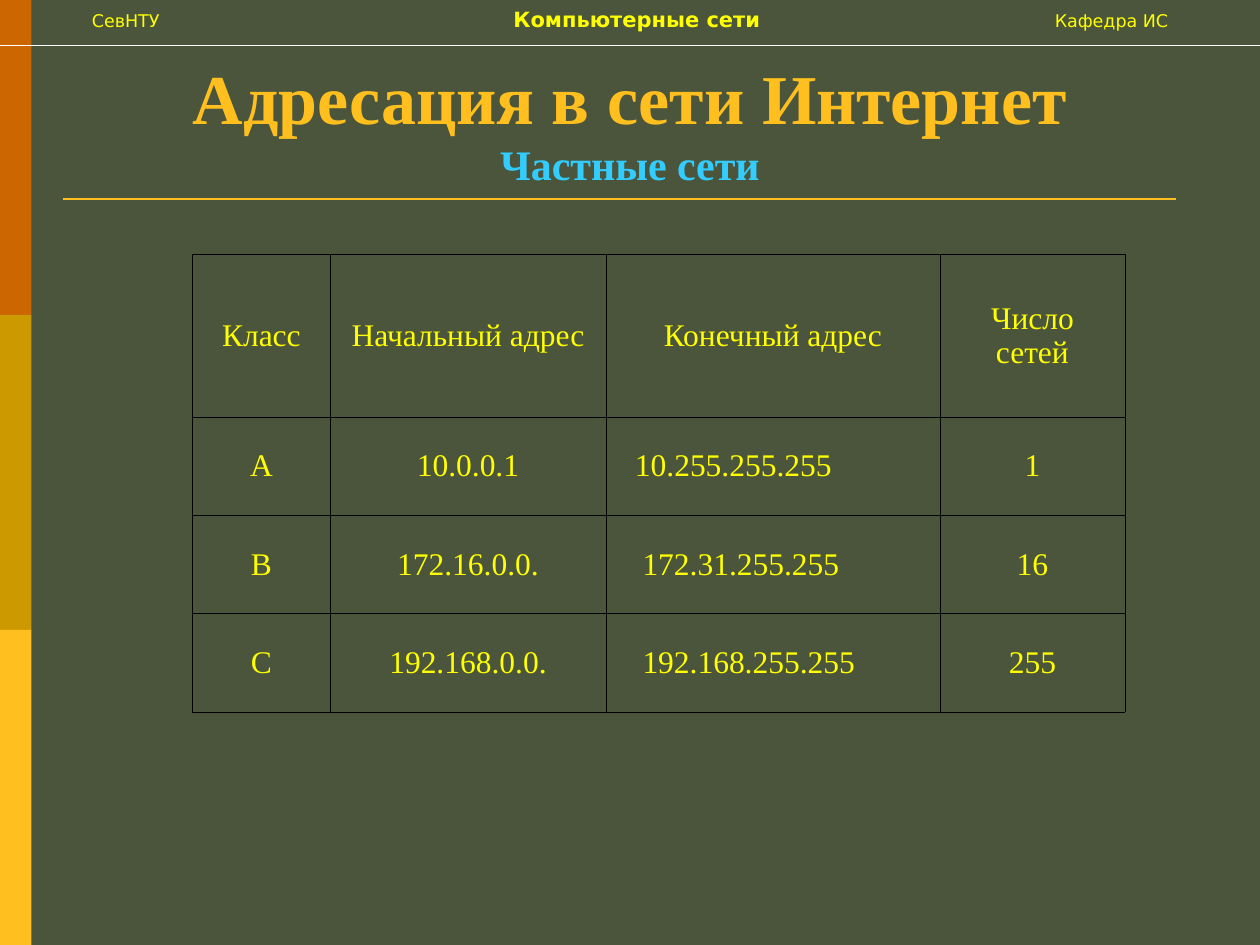
from dataclasses import dataclass

from lxml import etree
from pptx import Presentation
from pptx.dml.color import RGBColor
from pptx.enum import shapes, text
from pptx.oxml import ns
from pptx.util import Inches, Pt


@dataclass(frozen=True)
class Theme:
    """Colours, fonts and type sizes of the slide."""
    background: str = "4A553B"
    stripes: tuple = ("CC6600", "CC9900", "FFBF1F")
    gold: str = "FFBF1F"
    sky: str = "33CCFF"
    yellow: str = "FFFF00"
    white: str = "FFFFFF"
    grid: str = "000000"
    serif: str = "Times New Roman"
    sans: str = "DejaVu Sans"
    title: int = 40
    subtitle: int = 24
    body: int = 18
    course: int = 12
    header: int = 10


THEME = Theme()
HEADINGS = ("Класс", "Начальный адрес", "Конечный адрес", "Число сетей")
NETWORKS = (
    ("A", "10.0.0.1", "10.255.255.255", "1"),
    ("B", "172.16.0.0.", "172.31.255.255", "16"),
    ("C", "192.168.0.0.", "192.168.255.255", "255"),
)
COLUMN_WIDTHS = (1.09, 2.19, 2.65, 1.47)
ROW_HEIGHTS = (1.29, 0.78, 0.78, 0.78)
END_COLUMN = 2
END_INDENTS = (0.23, 0.29, 0.29)


def write(paragraph, words, *, size, color, font, bold=False):
    """Add a formatted run to a paragraph."""
    run = paragraph.add_run()
    run.text = words
    run.font.size = Pt(size)
    run.font.name = font
    run.font.bold = bold
    run.font.color.rgb = RGBColor.from_string(color)


def add_text_frame(slide, left, top, width, height):
    """Add a wrapping text box and return its frame."""
    frame = slide.shapes.add_textbox(
        Inches(left), Inches(top), Inches(width), Inches(height)).text_frame
    frame.word_wrap = True
    return frame


def add_rule(slide, left, right, y, color, weight):
    """Draw a horizontal rule without a shadow."""
    rule = slide.shapes.add_connector(
        shapes.MSO_CONNECTOR.STRAIGHT, Inches(left), Inches(y), Inches(right), Inches(y))
    rule.line.color.rgb = RGBColor.from_string(color)
    rule.line.width = Pt(weight)
    etree.SubElement(rule.element.spPr, ns.qn("a:effectLst"))


def add_side_stripe(slide, left, top, width, height):
    """Stack equal colour bands in the given box."""
    band_height = height / len(THEME.stripes)
    for index, color in enumerate(THEME.stripes):
        band = slide.shapes.add_shape(
            shapes.MSO_SHAPE.RECTANGLE, Inches(left), Inches(top + index * band_height),
            Inches(width), Inches(band_height))
        band.shadow.inherit = False
        band.fill.solid()
        band.fill.fore_color.rgb = RGBColor.from_string(color)
        band.line.fill.background()


def add_header(slide, left, top, width, height):
    """Set university, course and department on one tabbed line."""
    indent = 0.46
    frame = add_text_frame(slide, left, top, width, height)
    frame.margin_left = Inches(indent)
    line = frame.paragraphs[0]
    tabs = etree.SubElement(line._p.get_or_add_pPr(), ns.qn("a:tabLst"))
    for position, alignment in ((width / 2 + 0.06 - indent, "ctr"), (width - 2 * indent + 0.01, "r")):
        etree.SubElement(tabs, ns.qn("a:tab"), pos=str(Inches(position)), algn=alignment)
    small = dict(size=THEME.header, color=THEME.yellow, font=THEME.sans)
    write(line, "СевНТУ\t", **small)
    write(line, "Компьютерные сети", **{**small, "size": THEME.course}, bold=True)
    write(line, "\tКафедра ИС", **small)


def add_title(slide, left, top, width, height):
    """Set the title and subtitle at the bottom of the box."""
    frame = add_text_frame(slide, left, top, width, height)
    frame.vertical_anchor = text.MSO_ANCHOR.BOTTOM
    title = frame.paragraphs[0]
    title.alignment = text.PP_ALIGN.CENTER
    write(title, "Адресация в сети Интернет", size=THEME.title,
          color=THEME.gold, font=THEME.serif, bold=True)
    title.add_line_break()
    write(title, "Частные сети", size=THEME.subtitle,
          color=THEME.sky, font=THEME.serif, bold=True)


def outline_cell(cell):
    """Give a cell thin borders and no fill."""
    properties = cell._tc.get_or_add_tcPr()
    for side in ("lnL", "lnR", "lnT", "lnB"):
        border = etree.SubElement(properties, ns.qn(f"a:{side}"), w=str(Pt(0.45)))
        fill = etree.SubElement(border, ns.qn("a:solidFill"))
        etree.SubElement(fill, ns.qn("a:srgbClr"), val=THEME.grid)
    cell.fill.background()


def add_network_table(slide, left, top, width, height):
    """Place the table of private networks."""
    rows = (HEADINGS, *NETWORKS)
    table = slide.shapes.add_table(
        len(rows), len(HEADINGS), Inches(left), Inches(top), Inches(width), Inches(height)).table
    table.first_row = table.horz_banding = False
    for column, column_width in zip(table.columns, COLUMN_WIDTHS):
        column.width = Inches(column_width)
    for row, row_height in zip(table.rows, ROW_HEIGHTS):
        row.height = Inches(row_height)
    for row_index, values in enumerate(rows):
        for column_index, value in enumerate(values):
            cell = table.cell(row_index, column_index)
            outline_cell(cell)
            cell.vertical_anchor = text.MSO_ANCHOR.MIDDLE
            paragraph = cell.text_frame.paragraphs[0]
            paragraph.alignment = text.PP_ALIGN.CENTER
            if row_index and column_index == END_COLUMN:
                paragraph.alignment = text.PP_ALIGN.JUSTIFY
                cell.margin_left = Inches(END_INDENTS[row_index - 1])
            write(paragraph, value, size=THEME.body, color=THEME.yellow, font=THEME.serif)


def main():
    """Build and save the slide."""
    deck = Presentation()
    deck.slide_width, deck.slide_height = Inches(10), Inches(7.5)
    slide = deck.slides.add_slide(deck.slide_layouts[6])
    slide.background.fill.solid()
    slide.background.fill.fore_color.rgb = RGBColor.from_string(THEME.background)
    add_side_stripe(slide, 0, 0, 0.25, 7.5)
    add_rule(slide, 0.5, 9.33, 1.58, THEME.gold, 1.5)
    add_title(slide, 0.5, 0.3, 9, 1.25)
    add_header(slide, 0.27, 0, 9.45, 0.3)
    add_rule(slide, 0, 10, 0.36, THEME.white, 0.75)
    add_network_table(slide, 1.53, 2.02, 7.4, 3.62)
    deck.save("out.pptx")


if __name__ == "__main__":
    main()
